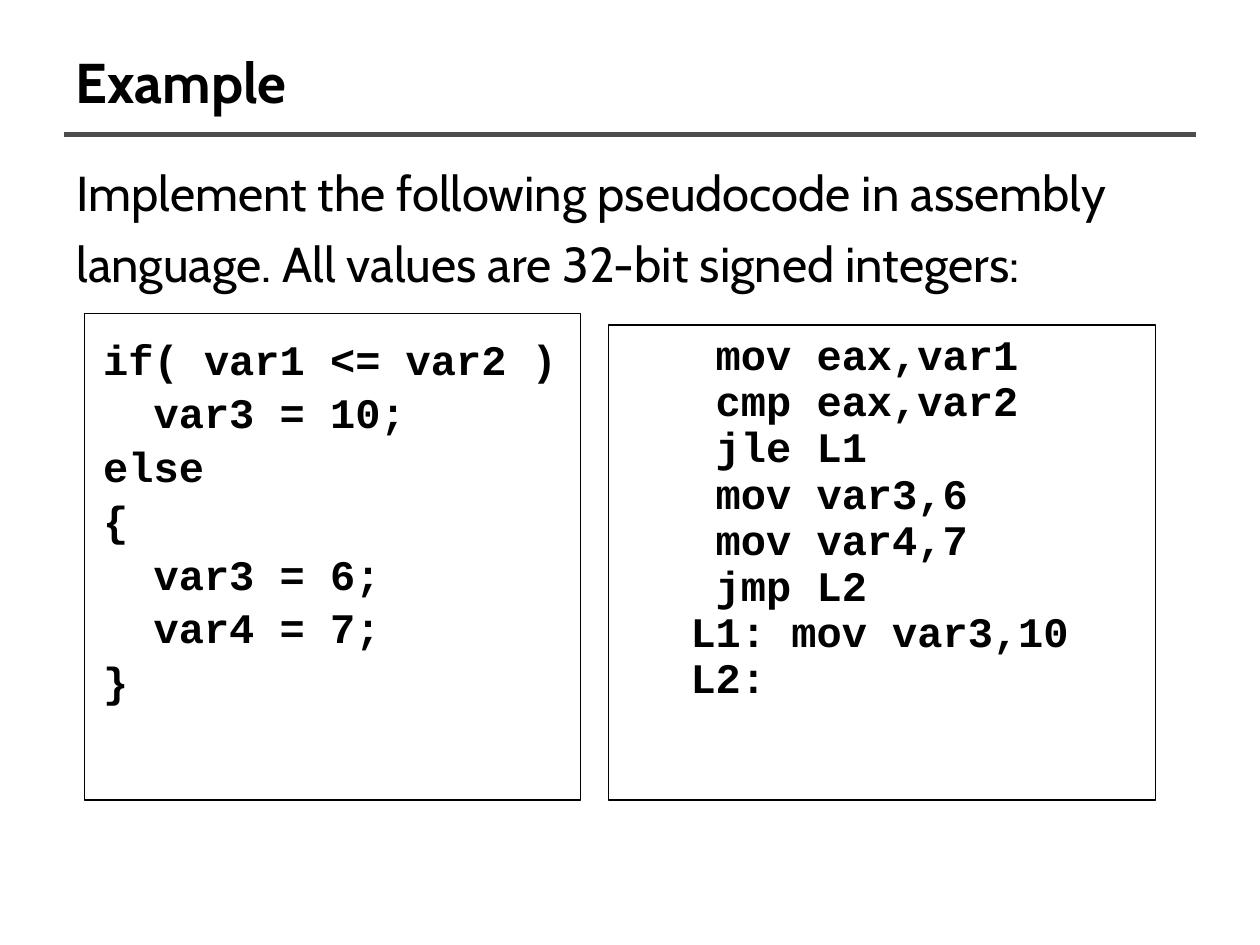
import lxml.etree
import pptx
import pptx.dml.color
import pptx.enum.shapes
import pptx.enum.text
import pptx.oxml.ns
import pptx.util

Pt = pptx.util.Pt
qn = pptx.oxml.ns.qn

BLACK, GREY = "000000", "4D4D4D"
TITLE = "Example"
TASK = ("Implement the following pseudocode in assembly language. "
        "All values are 32-bit signed integers:")
ASSEMBLY = [
    " mov eax,var1",
    " cmp eax,var2",
    " jle L1",
    " mov var3,6",
    " mov var4,7",
    " jmp L2",
    "L1: mov var3,10",
    "L2:",
]
PSEUDOCODE = [
    "if( var1 <= var2 )",
    "  var3 = 10;",
    "else",
    "{",
    "  var3 = 6;",
    "  var4 = 7;",
    "}",
]
# lines, left, top, width, indent, line spacing, space before in percent
CODE_BOTTOM = 457.2
CODE_BOXES = [
    (ASSEMBLY, 347.8, 185.8, 312.5, 36, 0.5, 50),
    (PSEUDOCODE, 48.2, 179.3, 283.7, 0, 0.9, 20),
]


def color(value):
    return pptx.dml.color.RGBColor.from_string(value)


def space_before_percent(para, percent):
    """Set spacing relative to the line, which python-pptx offers only in points."""
    para.space_before = Pt(0)
    spacing = para._p.pPr.find(qn("a:spcBef"))
    spacing.remove(spacing[0])
    lxml.etree.SubElement(spacing, qn("a:spcPct"), val=str(percent * 1000))


def write(box, lines, font, size, bold, spacing=1.0, before=0, indent=0):
    frame = box.text_frame
    frame.word_wrap = True
    frame.text = "\n".join(lines)
    for para in frame.paragraphs:
        para.alignment = pptx.enum.text.PP_ALIGN.LEFT
        para.font.name = font
        para.font.size = Pt(size)
        para.font.bold = bold
        para.font.color.rgb = color(BLACK)
        para.line_spacing = spacing
        space_before_percent(para, before)
        if indent:
            para._p.pPr.set("marL", str(Pt(indent)))
            para._p.pPr.set("indent", "0")
    return frame


def add_code_box(page, lines, left, top, width, indent, spacing, before):
    box = page.shapes.add_shape(
        pptx.enum.shapes.MSO_SHAPE.RECTANGLE,
        Pt(left), Pt(top), Pt(width), Pt(CODE_BOTTOM - top))
    box.shadow.inherit = False
    box.fill.background()
    box.line.color.rgb = color(BLACK)
    box.line.width = Pt(0.75)
    frame = write(box, lines, "Courier New", 24, True, spacing, before, indent)
    frame.vertical_anchor = pptx.enum.text.MSO_ANCHOR.TOP
    frame.margin_left = frame.margin_right = Pt(10.8)
    frame.margin_top = frame.margin_bottom = Pt(14.4)


def main():
    deck = pptx.Presentation()
    deck.slide_width, deck.slide_height = Pt(720), Pt(540)
    page = deck.slides.add_slide(deck.slide_layouts[6])

    rule = page.shapes.add_connector(
        pptx.enum.shapes.MSO_CONNECTOR.STRAIGHT, Pt(36.7), Pt(77), Pt(683.3), Pt(77))
    rule.line.color.rgb = color(GREY)
    rule.line.width = Pt(3)
    lxml.etree.SubElement(rule._element.spPr, qn("a:effectLst"))

    title = page.shapes.add_textbox(Pt(36), Pt(21.6), Pt(648), Pt(49.7))
    frame = write(title, [TITLE], "Cabin", 32, True)
    frame.vertical_anchor = pptx.enum.text.MSO_ANCHOR.MIDDLE

    task = page.shapes.add_textbox(Pt(36.7), Pt(82.8), Pt(648), Pt(90.7))
    write(task, [TASK], "Cabin", 28, False, spacing=1.2, before=20)

    for code_box in CODE_BOXES:
        add_code_box(page, *code_box)

    deck.save("out.pptx")


if __name__ == "__main__":
    main()
